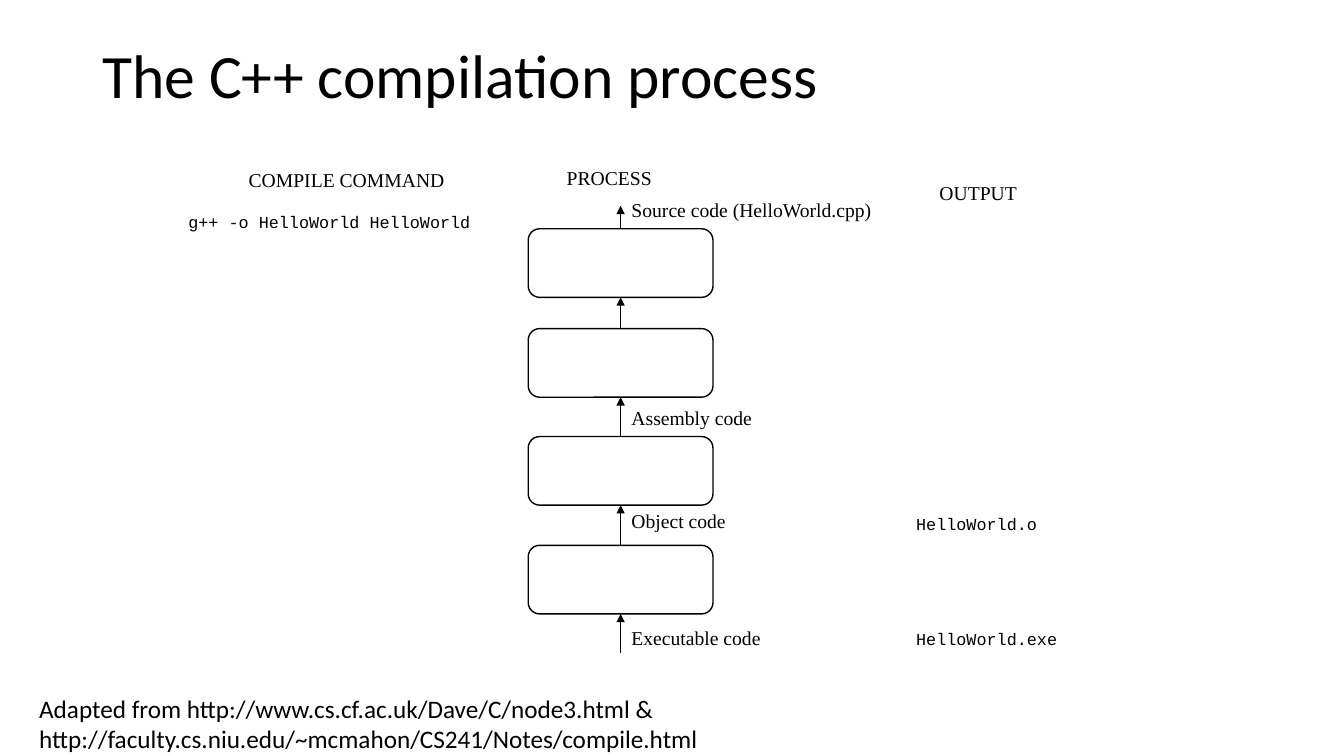
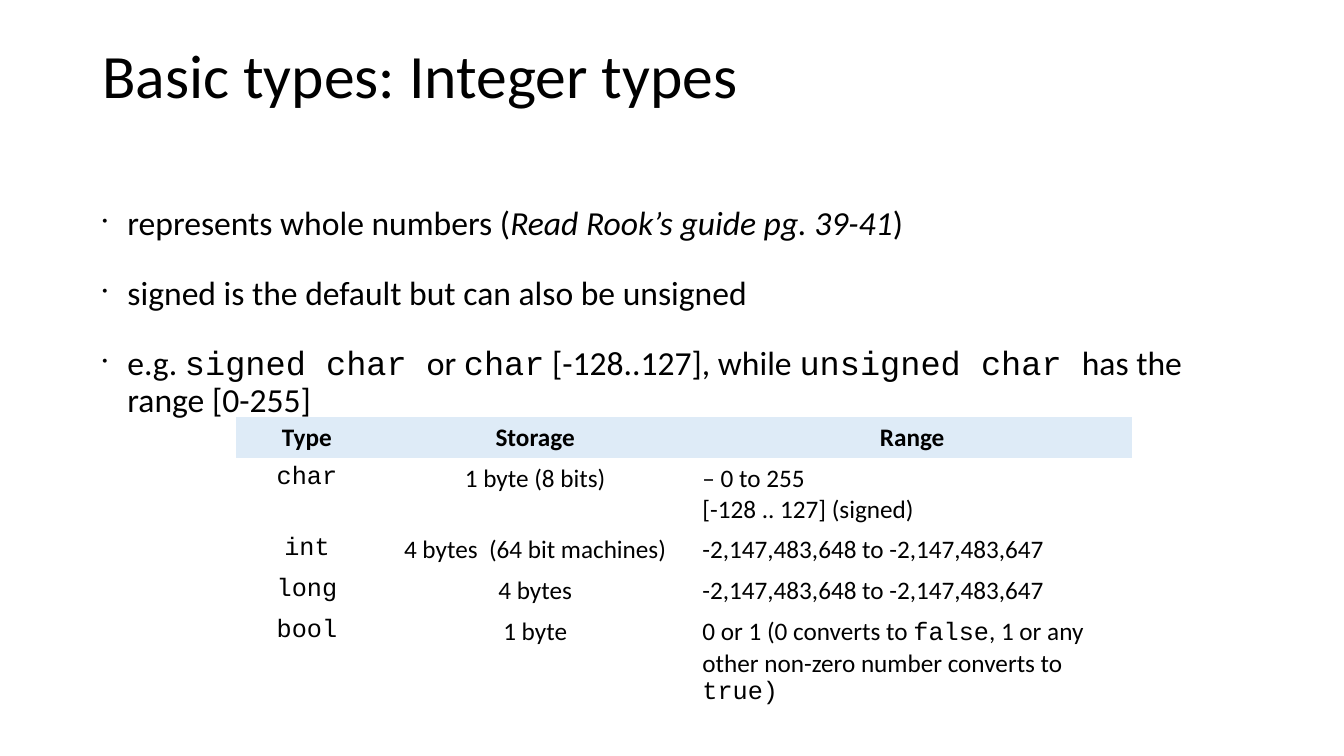
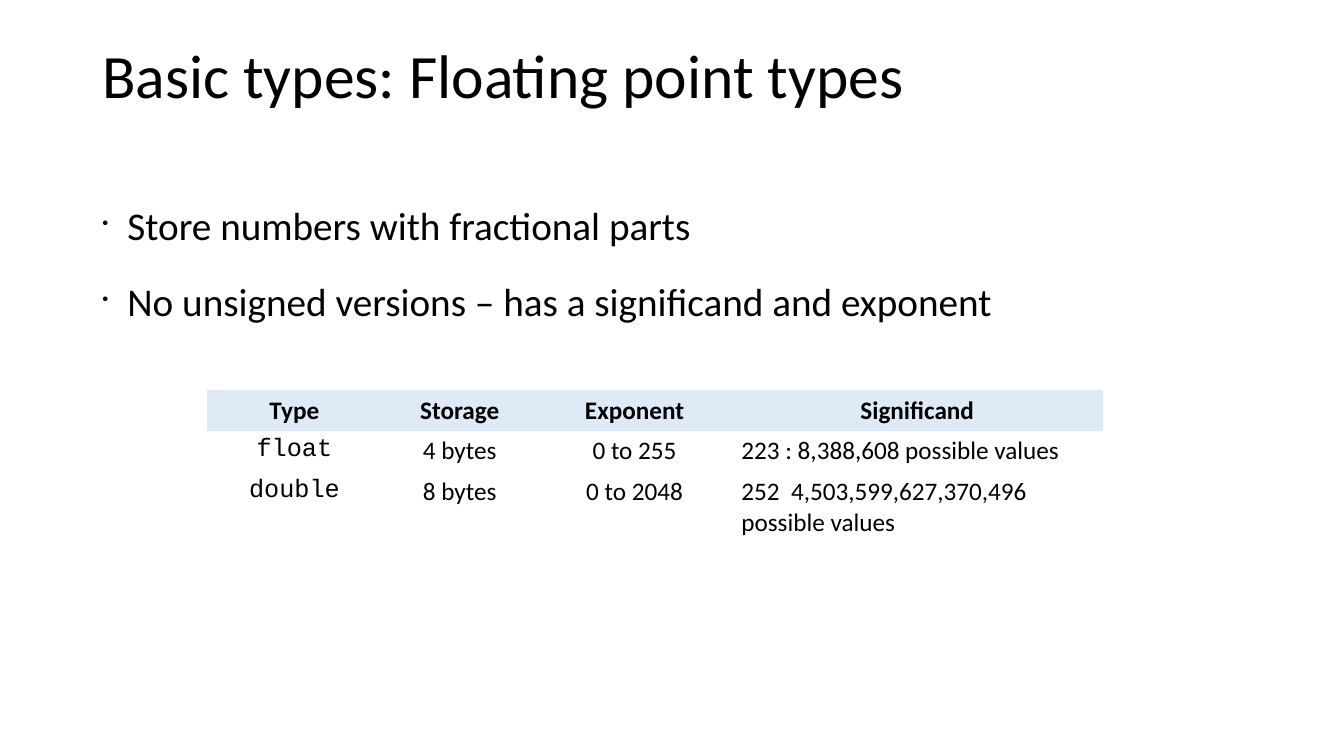
from lxml.etree import SubElement
from pptx import Presentation
from pptx.dml.color import RGBColor
from pptx.enum.shapes import MSO_CONNECTOR as CONNECTOR
from pptx.enum.shapes import MSO_SHAPE as SHAPE
from pptx.enum.text import PP_ALIGN as ALIGN
from pptx.oxml.ns import qn
from pptx.util import Pt

COLORS = {"ink": "000000", "header": "DEEBF7"}
SANS, SERIF, MONO = "Calibri", "Times New Roman", "Courier New"
NO_TABLE_STYLE = "{2D5ABB26-0587-4C30-8999-92F81FD0307C}"


def color(name):
    return RGBColor.from_string(COLORS[name])


def code(text):
    return text, {"font": MONO}


def italic(text):
    return text, {"italic": True}


def write(para, content, size, font=SANS, align=ALIGN.LEFT, bold=False):
    para.alignment = align
    for piece in content if isinstance(content, list) else [content]:
        text, style = piece if isinstance(piece, tuple) else (piece, {})
        span = para.add_run()
        span.text = text
        span.font.name = style.get("font", font)
        span.font.size = Pt(size)
        span.font.bold = bold
        span.font.italic = style.get("italic", False)
        span.font.color.rgb = color("ink")


def add_text_box(page, left, top, width, height):
    box = page.shapes.add_textbox(Pt(left), Pt(top), Pt(width), Pt(height))
    box.text_frame.word_wrap = True
    return box.text_frame


def add_label(page, text, left, top, width, size=14, font=SERIF, align=ALIGN.LEFT):
    frame = add_text_box(page, left, top, width, 24)
    write(frame.paragraphs[0], text, size, font, align)


def add_page(deck, title):
    page = deck.slides.add_slide(deck.slide_layouts[6])
    para = add_text_box(page, 66, 28.8, 828, 104.4).paragraphs[0]
    para.line_spacing = 0.9
    write(para, title, 44)
    return page


def add_bullets(page, items, size):
    frame = add_text_box(page, 66, 144, 828, 342.7)
    for index, item in enumerate(items):
        para = frame.add_paragraph() if index else frame.paragraphs[0]
        para.line_spacing = 0.9
        para.space_before = Pt(10)
        para.space_after = Pt(14.2)
        write(para, item, size)
        props = para._p.get_or_add_pPr()
        props.set("marL", str(Pt(18)))
        props.set("indent", str(-Pt(18)))
        bullet_color = SubElement(props, qn("a:buClr"))
        SubElement(bullet_color, qn("a:srgbClr"), val=COLORS["ink"])
        SubElement(props, qn("a:buSzPct"), val="45000")
        SubElement(props, qn("a:buChar"), char="•")


def add_stage(page, left, top, width, height):
    stage = page.shapes.add_shape(
        SHAPE.ROUNDED_RECTANGLE, Pt(left), Pt(top), Pt(width), Pt(height))
    stage.shadow.inherit = False
    stage.fill.background()
    stage.line.color.rgb = color("ink")
    stage.line.width = Pt(1)


def add_up_arrow(page, x, start, end):
    arrow = page.shapes.add_connector(
        CONNECTOR.STRAIGHT, Pt(x), Pt(start), Pt(x), Pt(end))
    arrow.line.color.rgb = color("ink")
    arrow.line.width = Pt(0.5)
    SubElement(arrow.line._get_or_add_ln(), qn("a:tailEnd"), type="triangle")
    SubElement(arrow._element.spPr, qn("a:effectLst"))


def fill_cell(cell, content, align, header, font):
    if header:
        cell.fill.solid()
        cell.fill.fore_color.rgb = color("header")
    else:
        cell.fill.background()
    frame = cell.text_frame
    lines = content if isinstance(content, tuple) else (content,)
    for index, line in enumerate(lines):
        para = frame.add_paragraph() if index else frame.paragraphs[0]
        write(para, line, 18, font, align, header)


def add_type_table(page, left, top, widths, heights, rows):
    table = page.shapes.add_table(
        len(rows), len(widths), Pt(left), Pt(top),
        Pt(sum(widths)), Pt(sum(heights))).table
    table.first_row = table.horz_banding = False
    table._tbl.tblPr.find(qn("a:tableStyleId")).text = NO_TABLE_STYLE
    for column, width in zip(table.columns, widths):
        column.width = Pt(width)
    for row, height in zip(table.rows, heights):
        row.height = Pt(height)
    last = len(widths) - 1
    for i, row in enumerate(rows):
        for j, content in enumerate(row):
            header = i == 0
            align = ALIGN.LEFT if j == last and not header else ALIGN.CENTER
            font = MONO if j == 0 and not header else SANS
            fill_cell(table.cell(i, j), content, align, header, font)


def build_compilation(deck):
    page = add_page(deck, "The C++ compilation process")
    left, width, height = 377.3, 132, 49
    tops = [163.4, 234.7, 311.8, 389.5]
    for top in tops:
        add_stage(page, left, top, width, height)
    ends = [147] + [top + height for top in tops]
    for start, end in zip(tops + [466.6], ends):
        add_up_arrow(page, left + width / 2, start, end)
    for text, top in [("Source code (HelloWorld.cpp)", 137.8),
                      ("Assembly code", 286.4),
                      ("Object code", 360),
                      ("Executable code", 443.5)]:
        add_label(page, text, 444, top, 191.5)
    for text, x, top, span_width in [("COMPILE COMMAND", 152.6, 116.6, 190),
                                     ("PROCESS", 388, 115.2, 94.3),
                                     ("OUTPUT", 651.6, 125.6, 94.3)]:
        add_label(page, text, x, top, span_width, align=ALIGN.CENTER)
    for text, x, top, span_width in [
            ("g++ -o HelloWorld HelloWorld", 127.4, 147.6, 250),
            ("HelloWorld.o", 647.3, 363.6, 140),
            ("HelloWorld.exe", 647.3, 445.7, 140)]:
        add_label(page, text, x, top, span_width, 12, MONO)
    add_label(page, "Adapted from http://www.cs.cf.ac.uk/Dave/C/node3.html & "
              "http://faculty.cs.niu.edu/~mcmahon/CS241/Notes/compile.html",
              20.9, 491.8, 625, 18, SANS)


def build_integers(deck):
    page = add_page(deck, "Basic types: Integer types")
    add_bullets(page, [
        ["represents whole numbers (", italic("Read Rook’s guide pg. 39-41"), ")"],
        "signed is the default but can also be unsigned",
        ["e.g. ", code("signed char "), "or ", code("char"),
         " [-128..127], while ", code("unsigned char "),
         "has the range [0-255]"],
    ], 24)
    long_range = "-2,147,483,648 to -2,147,483,647"
    add_type_table(page, 168.5, 298.2, [101.5, 224.6, 314], [29.2, 51, 29.2, 29.2, 72], [
        ["Type", "Storage", "Range"],
        ["char", "1 byte (8 bits)", ("– 0 to 255", "[-128 .. 127] (signed)")],
        ["int", "4 bytes  (64 bit machines)", long_range],
        ["long", "4 bytes", long_range],
        ["bool", "1 byte",
         ["0 or 1 (0 converts to ", code("false"),
          ", 1 or any other non-zero number converts to ", code("true)")]],
    ])


def build_floats(deck):
    page = add_page(deck, "Basic types: Floating point types")
    add_bullets(page, [
        "Store numbers with fractional parts",
        "No unsigned versions – has a significand and exponent",
    ], 28)
    add_type_table(page, 148, 278.6, [124.6, 111.6, 138.2, 265.7], [29.2, 29.2, 51], [
        ["Type", "Storage", "Exponent", "Significand"],
        ["float", "4 bytes", "0 to 255", "223 : 8,388,608 possible values"],
        ["double", "8 bytes", "0 to 2048",
         "252  4,503,599,627,370,496 possible values"],
    ])


def main():
    deck = Presentation()
    deck.slide_width, deck.slide_height = Pt(960), Pt(540)
    build_compilation(deck)
    build_integers(deck)
    build_floats(deck)
    deck.save("out.pptx")


if __name__ == "__main__":
    main()
